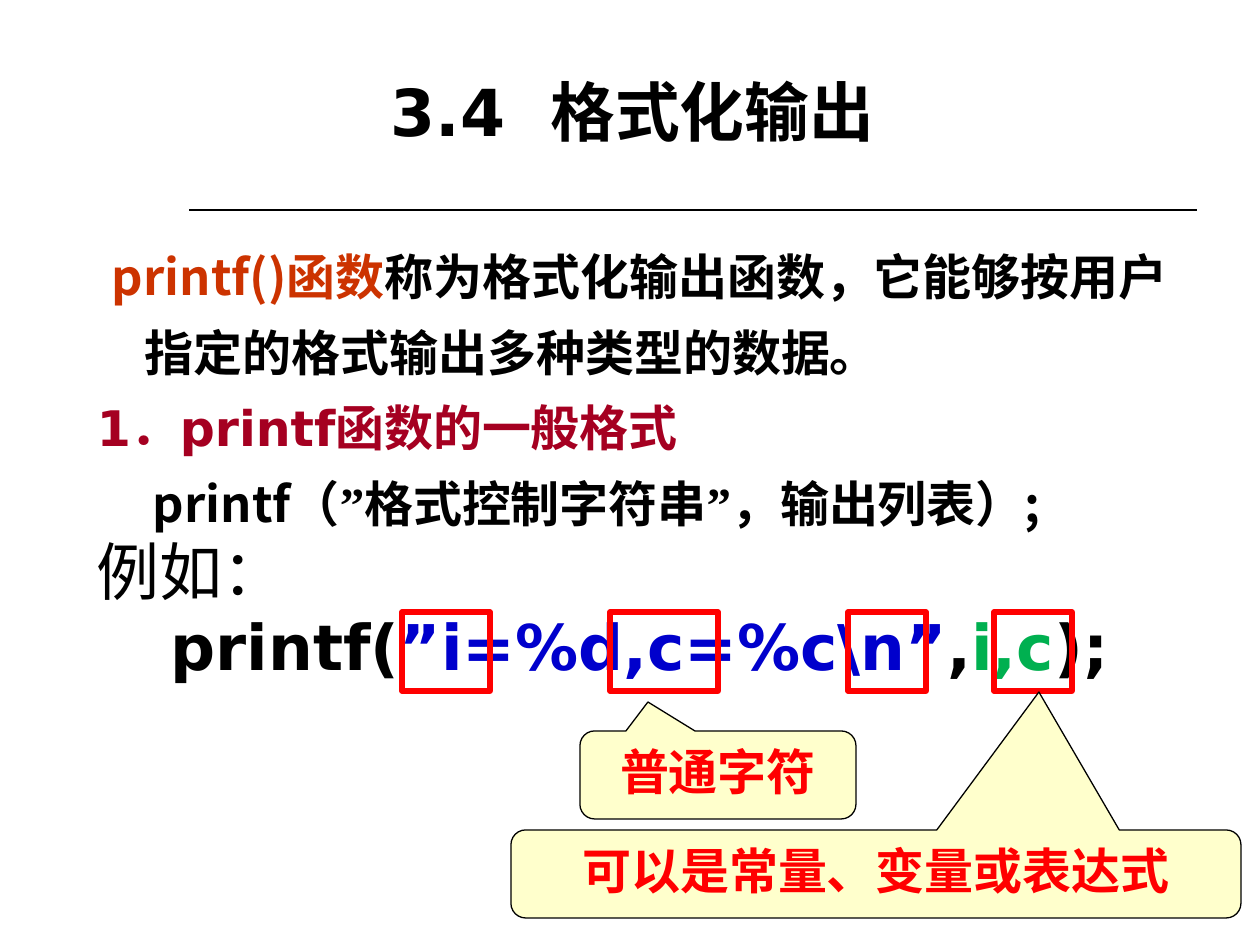
from pptx import Presentation
from pptx.dml.color import RGBColor
from pptx.enum.shapes import MSO_CONNECTOR, MSO_SHAPE
from pptx.enum.text import MSO_ANCHOR, PP_ALIGN
from pptx.oxml.ns import qn
from pptx.util import Pt
from lxml.etree import SubElement

PX = 914400 / 126
BLACK = RGBColor(0x00, 0x00, 0x00)
RED = RGBColor(0xFF, 0x00, 0x00)
ORANGE = RGBColor(0xCC, 0x33, 0x00)
CRIMSON = RGBColor(0xA5, 0x00, 0x21)
BLUE = RGBColor(0x00, 0x00, 0xCC)
GREEN = RGBColor(0x00, 0xB0, 0x50)
CREAM = RGBColor(0xFF, 0xFF, 0xCC)

DEJAVU, NOTO, TIMES, ARIAL = "DejaVu Sans", "Noto Sans CJK SC", "Times New Roman", "Arial"


def emu(*lengths):
    return [round(n * PX) for n in lengths]


def add_run(p, text, font, size, color, bold=True):
    r = p.add_run()
    r.text = text
    for name, value in {"name": font, "size": Pt(size), "bold": bold}.items():
        setattr(r.font, name, value)
    r.font.color.rgb = color
    ea = SubElement(r.font._element, qn("a:ea"))
    ea.set("typeface", font)


def set_frame(tf, inset_x, inset_y):
    x, y = emu(inset_x, inset_y)
    frame = {"word_wrap": True, "vertical_anchor": MSO_ANCHOR.TOP,
             "margin_left": x, "margin_right": x, "margin_top": y, "margin_bottom": y}
    for name, value in frame.items():
        setattr(tf, name, value)


def add_title(s, box):
    tf = s.shapes.add_textbox(*emu(*box)).text_frame
    set_frame(tf, 0, 0)
    p = tf.paragraphs[0]
    p.alignment = PP_ALIGN.CENTER
    add_run(p, "3.4  格式化输出", DEJAVU, 37, BLACK)


def add_rule(s, x, y, width):
    line = s.shapes.add_connector(MSO_CONNECTOR.STRAIGHT, *emu(x, y, x + width, y))
    line.line.color.rgb = BLACK
    line.line.width = Pt(1)
    SubElement(line._element.spPr, qn("a:effectLst"))


def add_body(s, box):
    """Each paragraph is (first-line indent in px, alignment, runs)."""
    left, center = PP_ALIGN.LEFT, PP_ALIGN.CENTER
    paragraphs = [
        (-33, left, [("printf()函数", NOTO, 28, ORANGE),
                     ("称为格式化输出函数，它能够按用户指定的格式输出多种类型的数据。", NOTO, 28, BLACK)]),
        (-48, left, [("1．printf函数的一般格式", DEJAVU, 28, CRIMSON)]),
        (8, left, [("printf（", NOTO, 28, BLACK), ("”", TIMES, 28, BLACK),
                   ("格式控制字符串", NOTO, 28, BLACK), ("”", TIMES, 28, BLACK),
                   ("，输出列表）;", NOTO, 28, BLACK)]),
        (-48, left, [("例如：", DEJAVU, 36, BLACK, False)]),
        (-48, center, [("printf(", DEJAVU, 36, BLACK), ("”i=%d,c=%c\\n”", DEJAVU, 36, BLUE),
                       (",", DEJAVU, 36, BLACK), ("i,c", DEJAVU, 36, GREEN),
                       (");", DEJAVU, 36, BLACK)]),
    ]
    tf = s.shapes.add_textbox(*emu(*box)).text_frame
    set_frame(tf, 13, 6)
    margin, = emu(48)
    for i, (indent, alignment, runs) in enumerate(paragraphs):
        p = tf.add_paragraph() if i else tf.paragraphs[0]
        p.alignment = alignment
        p.line_spacing = Pt(43.2)
        pPr = p._p.get_or_add_pPr()
        pPr.set("marL", str(margin))
        pPr.set("indent", str(emu(indent)[0]))
        for run in runs:
            add_run(p, *run)


def add_marker(s, box):
    """Red frame around a part of the printf call."""
    sp = s.shapes.add_shape(MSO_SHAPE.RECTANGLE, *emu(*box))
    sp.shadow.inherit = False
    sp.fill.background()
    sp.line.color.rgb = RED
    sp.line.width = Pt(3)


def add_callout(s, box, text, tip):
    """Callout whose tip lies at (x, y) px from its top left corner."""
    sp = s.shapes.add_shape(MSO_SHAPE.ROUNDED_RECTANGULAR_CALLOUT, *emu(*box))
    sp.shadow.inherit = False
    sp.adjustments[0] = tip[0] / box[2] - 0.5
    sp.adjustments[1] = tip[1] / box[3] - 0.5
    sp.fill.solid()
    sp.fill.fore_color.rgb = CREAM
    sp.line.color.rgb = BLACK
    sp.line.width = Pt(0.75)
    set_frame(sp.text_frame, 13, 6)
    p = sp.text_frame.paragraphs[0]
    p.alignment = PP_ALIGN.CENTER
    add_run(p, text, ARIAL, 28, RED)


def main():
    prs = Presentation()
    prs.slide_width, prs.slide_height = emu(1260, 945)
    s = prs.slides.add_slide(prs.slide_layouts[6])
    add_rule(s, 189, 210, 1008)
    add_body(s, (84, 224, 1111, 456))
    for x, width in ((402, 88), (610, 108), (848, 78), (994, 78)):
        add_marker(s, (x, 612, width, 79))
    add_callout(s, (580, 731, 276, 88), "普通字符", (68, -29))
    add_callout(s, (511, 830, 730, 88), "可以是常量、变量或表达式", (528, -138))
    add_title(s, (237, 72, 791, 91))
    prs.save("out.pptx")


if __name__ == "__main__":
    main()
